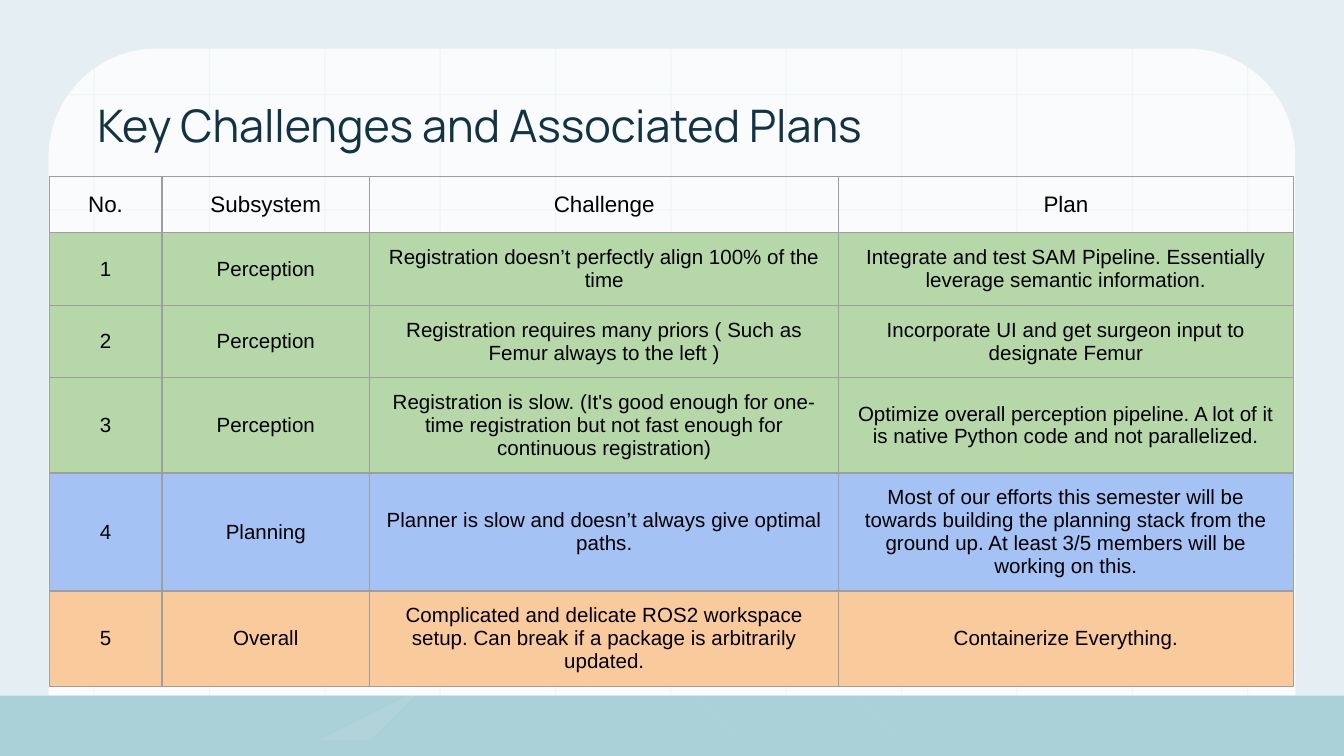
from collections import namedtuple

from lxml.etree import SubElement
from pptx import Presentation
from pptx.dml.color import RGBColor
from pptx.enum.shapes import MSO_SHAPE
from pptx.enum.text import MSO_ANCHOR, MSO_AUTO_SIZE, PP_ALIGN
from pptx.oxml import parse_xml
from pptx.oxml.ns import nsdecls, qn
from pptx.util import Cm, Pt

Box = namedtuple("Box", "left top width height")

GREEN, BLUE, ORANGE = "B6D7A8", "A4C2F4", "F9CB9C"
COLUMN_WIDTHS = [2.13, 3.93, 8.86, 8.59]
ROWS = [
    (1.06, None, ["No.", "Subsystem", "Challenge", "Plan"]),
    (1.37, GREEN, ["1", "Perception",
                   "Registration doesn’t perfectly align 100% of the time",
                   "Integrate and test SAM Pipeline. Essentially leverage semantic information."]),
    (1.37, GREEN, ["2", "Perception",
                   "Registration requires many priors ( Such as Femur always to the left )",
                   "Incorporate UI and get surgeon input to designate Femur"]),
    (1.8, GREEN, ["3", "Perception",
                  "Registration is slow. (It's good enough for one-time registration "
                  "but not fast enough for continuous registration)",
                  "Optimize overall perception pipeline. A lot of it is native Python code "
                  "and not parallelized."]),
    (2.23, BLUE, ["4", "Planning",
                  "Planner is slow and doesn’t always give optimal paths.",
                  "Most of our efforts this semester will be towards building the planning "
                  "stack from the ground up. At least 3/5 members will be working on this."]),
    (1.8, ORANGE, ["5", "Overall",
                   "Complicated and delicate ROS2 workspace setup. Can break if a package "
                   "is arbitrarily updated.",
                   "Containerize Everything."]),
]


def paint(fill, color, opacity=100):
    """Give a fill a solid hex colour and an opacity in percent."""
    fill.solid()
    fill.fore_color.rgb = RGBColor.from_string(color)
    if opacity < 100:
        solid = fill._xPr.find(qn("a:solidFill"))
        SubElement(solid[0], qn("a:alpha"), val=str(opacity * 1000))


def finish(shape, color, opacity=100):
    """Paint a shape and take away its line and shadow."""
    paint(shape.fill, color, opacity)
    shape.line.fill.background()
    shape.shadow.inherit = False


def add_block(page, box, color, opacity=100, kind=MSO_SHAPE.RECTANGLE):
    """Add a plain filled shape."""
    shape = page.shapes.add_shape(kind, *(Cm(length) for length in box))
    finish(shape, color, opacity)
    return shape


def add_card(page, box):
    """Add the pale card with rounded top corners."""
    card = add_block(page, box, "FFFFFF", 80, MSO_SHAPE.ROUND_2_SAME_RECTANGLE)
    card.adjustments[0] = 0.167
    card.adjustments[1] = 0


def add_grid(page, box, pitch=2.18, thickness=0.02):
    """Add the faint square grid, starting at the box's first crossing."""
    for row in range(6):
        line = Box(0, box.top + row * pitch, box.width, thickness)
        add_block(page, line, "E5EEF3", 49)
    for column in range(11):
        line = Box(box.left + column * pitch, 0.36, thickness, box.height)
        add_block(page, line, "E5EEF3", 49)


def add_floor(page, box):
    """Add the floor band with perspective lines fanning out from its middle."""
    add_block(page, box, "AAD0D8")
    right, bottom = box.left + box.width, box.top + box.height
    middle = box.left + box.width / 2
    outlines = []
    for offset, thickness in ((0.23, 0.03), (0.82, 0.04)):
        upper = box.top + offset
        lower = upper + thickness
        outlines.append([(box.left, upper), (right, upper), (right, lower), (box.left, lower)])
    for index in range(18):
        step = index - 8.5
        start, end = middle + step * 1.39, middle + step * 1.765
        limit = right if step > 0 else box.left
        share = min(1, (limit - start) / (end - start))
        end = start + share * (end - start)
        lower = box.top + share * box.height
        half = 0.03 + 0.004 * abs(step)
        outlines.append([(start - half, box.top), (start + half, box.top),
                         (min(end + 0.04, right), lower), (max(end - 0.04, box.left), lower)])
    builder = page.shapes.build_freeform(*outlines[0][0], scale=Cm(1))
    for outline in outlines:
        builder.move_to(*outline[0])
        builder.add_line_segments(outline[1:], close=True)
    finish(builder.convert_to_shape(), "FFFFFF", 9)


def add_title(page, box, text):
    """Place the title placeholder in front of the background."""
    title = page.shapes.title
    title.left, title.top, title.width, title.height = (Cm(length) for length in box)
    page.shapes._spTree.append(title._element)
    frame = title.text_frame
    frame.text = text
    frame.word_wrap = True
    frame.auto_size = MSO_AUTO_SIZE.NONE
    frame.vertical_anchor = MSO_ANCHOR.MIDDLE
    frame.margin_left = frame.margin_right = frame.margin_top = frame.margin_bottom = Cm(0.25)
    para = frame.paragraphs[0]
    para.alignment = PP_ALIGN.LEFT
    set_font(para, "Manrope", 24, "113444")


def set_font(para, name, size, color):
    """Set the font of a whole paragraph."""
    para.font.name = name
    para.font.size = Pt(size)
    para.font.color.rgb = RGBColor.from_string(color)


def fill_cell(cell, text, size, color):
    """Write, border and colour one table cell."""
    cell.text = text
    cell.vertical_anchor = MSO_ANCHOR.MIDDLE
    cell.margin_left = cell.margin_right = cell.margin_top = cell.margin_bottom = Cm(0.25)
    para = cell.text_frame.paragraphs[0]
    para.alignment = PP_ALIGN.CENTER
    set_font(para, "Arial", size, "000000")
    properties = cell._tc.get_or_add_tcPr()
    for side in "LRTB":
        properties.append(parse_xml(
            f'<a:ln{side} {nsdecls("a")} w="9525"><a:solidFill>'
            f'<a:srgbClr val="9E9E9E"/></a:solidFill></a:ln{side}>'))
    if color:
        paint(cell.fill, color)
    else:
        cell.fill.background()


def add_challenges(page, box):
    """Add the table of challenges and plans."""
    table = page.shapes.add_table(
        len(ROWS), len(COLUMN_WIDTHS), *(Cm(length) for length in box)).table
    table.first_row = table.horz_banding = False
    for column, width in zip(table.columns, COLUMN_WIDTHS):
        column.width = Cm(width)
    for row, (height, color, texts) in zip(table.rows, ROWS):
        row.height = Cm(height)
        for cell, text in zip(row.cells, texts):
            fill_cell(cell, text, 11 if color else 12, color)


def main():
    """Build the deck and save it."""
    deck = Presentation()
    deck.slide_width, deck.slide_height = Cm(25.4), Cm(14.29)
    page = deck.slides.add_slide(deck.slide_layouts[5])
    paint(page.background.fill, "E5EEF3")
    add_card(page, Box(0.92, 0.92, 23.56, 12.23))
    add_grid(page, Box(1.77, 1.78, 25.4, 13.03))
    add_floor(page, Box(0, 13.15, 25.4, 1.14))
    add_title(page, Box(1.59, 1.1, 21.2, 2.5), "Key Challenges and Associated Plans")
    table_height = sum(height for height, _, _ in ROWS)
    add_challenges(page, Box(0.93, 3.34, sum(COLUMN_WIDTHS), table_height))
    deck.save("out.pptx")


if __name__ == "__main__":
    main()
